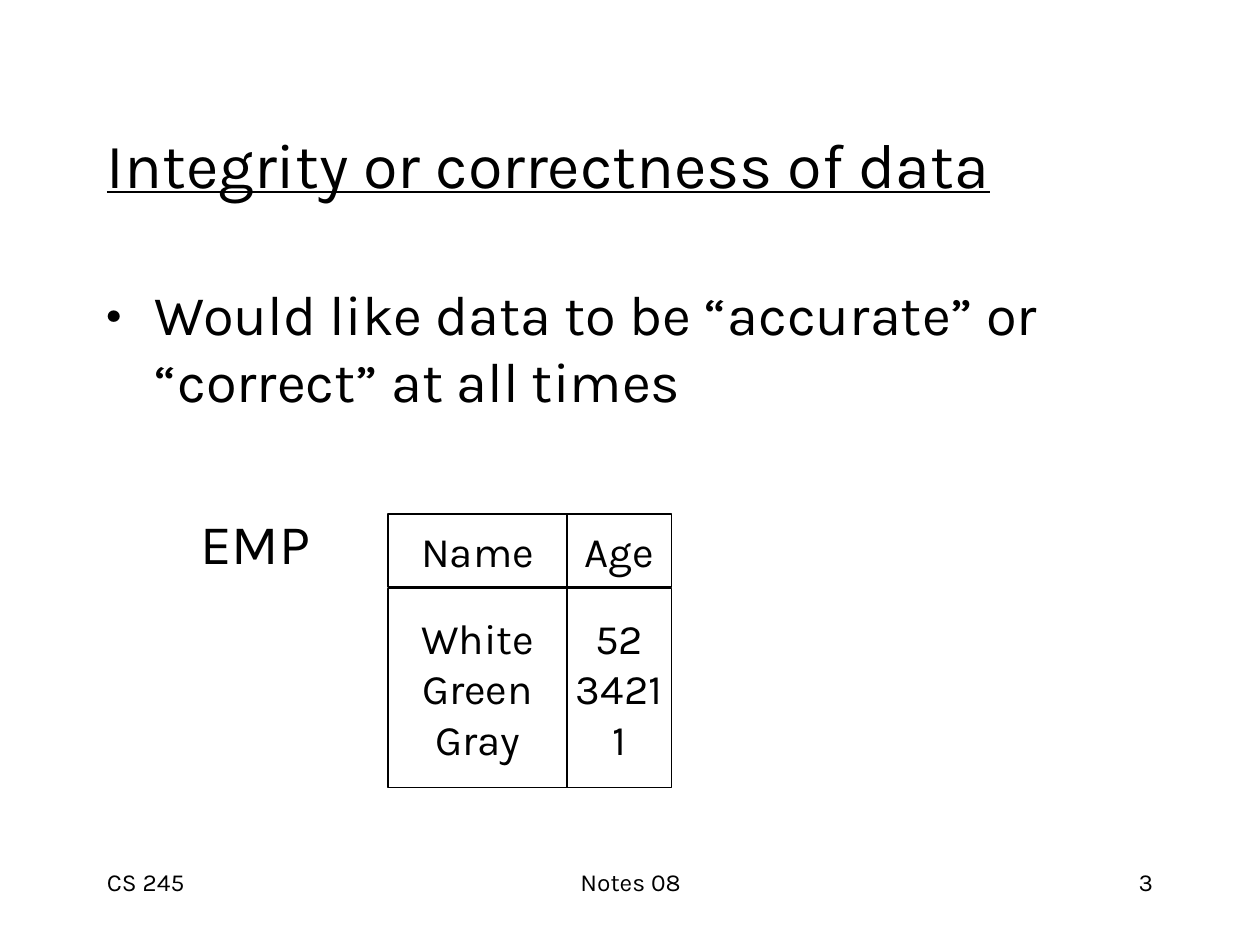
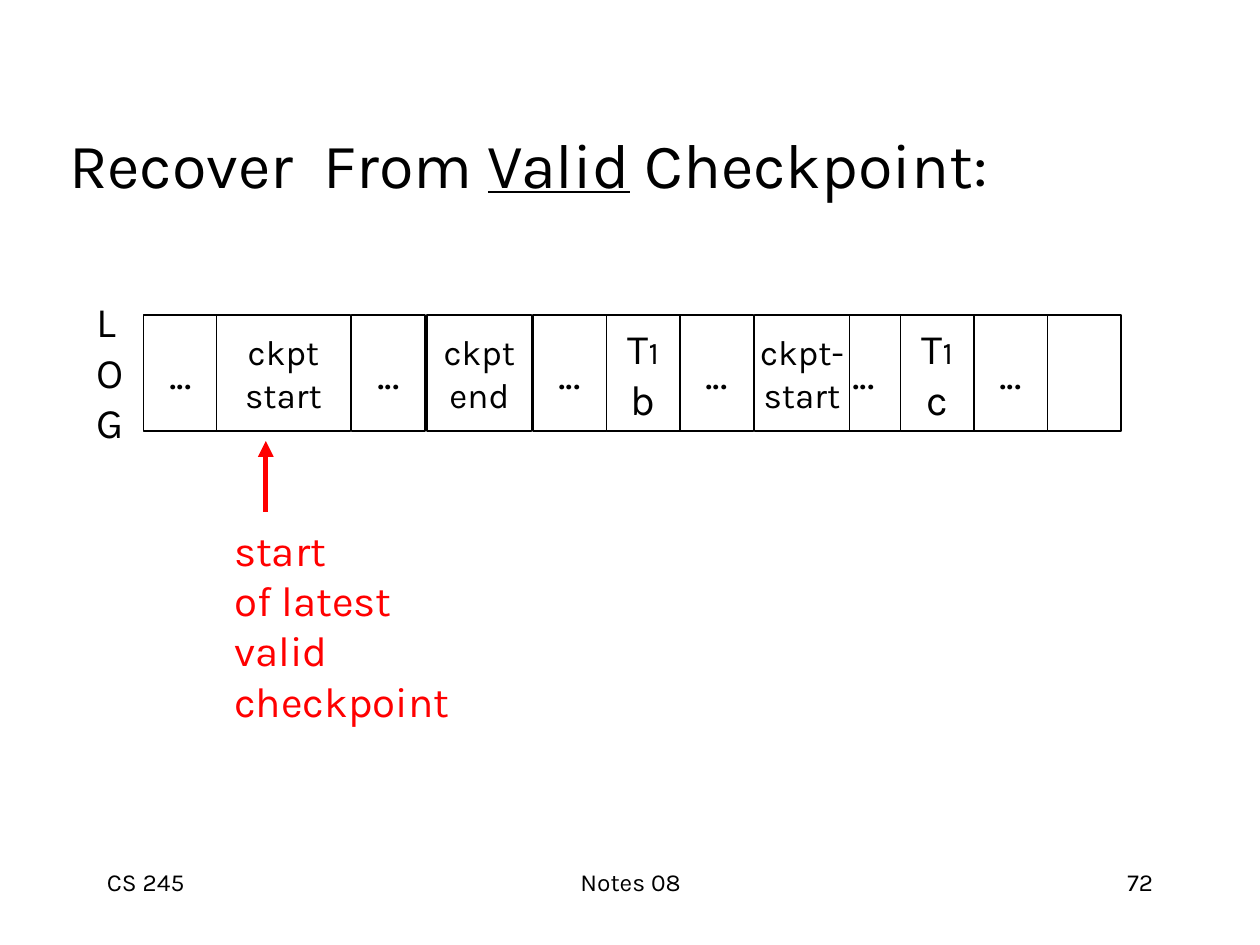
from pptx import Presentation
from pptx.dml.color import RGBColor
from pptx.enum.shapes import MSO_CONNECTOR as Conn, MSO_SHAPE as Shape
from pptx.enum.text import MSO_ANCHOR as Anchor, PP_ALIGN as Align
from pptx.oxml.ns import qn
from pptx.util import Inches, Pt
from lxml.etree import SubElement as Sub

FONT = "Karla"
BLACK, WHITE, RED = "000000", "FFFFFF", "FF0000"
THIN = 0.75

FOOT = [
    (0.75, 2.08, "CS 245", Align.LEFT),
    (3.42, 3.17, "Notes 08", Align.CENTER),
]
FOOT_NUM = (7.17, 2.08, Align.RIGHT)

DATA_TITLE = [("Integrity or correctness of data", True)]
POINT = "Would like data to be “accurate” or “correct” at all times"
EMP = [
    (3.08, 1.42, "Name", ["White", "Green", "Gray"]),
    (4.5, 0.83, "Age", ["52", "3421", "1"]),
]
HEAD_ROW = (4.08, 0.58)
BODY_ROW = (4.67, 1.58)

LOG_TITLE = [("Recover  From ", False), ("Valid", True), (" Checkpoint:", False)]
LOG_ROW = (2.5, 0.92)
STEP = 7 / 12
DOTS = [[("...", 24)]]


def action(kind):
    return [[("T", 24), ("1", 18)], [(kind, 24)]]


def lines(texts, size):
    return [[(text, size)] for text in texts]


EARLY = [(1.14, DOTS), (2.79, DOTS)]
LATE_LEFT = 4.23
LATE = {0: DOTS, 1: action("b"), 2: DOTS, 4: DOTS,
        5: action("c"), 6: DOTS, 7: []}
MARKS = [
    (1.72, 1.06, ["ckpt", "start"]),
    (5.99, 0.75, ["ckpt-", "start"]),
    (3.39, 0.83, ["ckpt", "end"]),
]
HINT = ["start", "of latest", "valid", "checkpoint"]


def tint(code):
    return RGBColor.from_string(code)


def put_run(para, text, size, color=BLACK, under=False):
    run = para.add_run()
    run.text = text
    font = run.font
    font.name, font.size = FONT, Pt(size)
    font.color.rgb = tint(color)
    if under:
        font.underline = True


def fill_text(frame, rows, align=Align.LEFT, color=BLACK):
    for i, row in enumerate(rows):
        para = frame.add_paragraph() if i else frame.paragraphs[0]
        para.alignment = align
        for text, size in row:
            put_run(para, text, size, color)


def add_box(slide, at, rows=(), align=Align.LEFT, color=BLACK, wrap=True):
    frame = slide.shapes.add_textbox(*map(Inches, at)).text_frame
    frame.word_wrap = wrap
    fill_text(frame, rows, align, color)
    return frame


def add_cell(slide, left, width, band, rows):
    top, tall = band
    box = slide.shapes.add_shape(
        Shape.RECTANGLE, *map(Inches, (left, top, width, tall)))
    box.shadow.inherit = False
    box.fill.solid()
    box.fill.fore_color.rgb = tint(WHITE)
    box.line.color.rgb = tint(BLACK)
    box.line.width = Pt(THIN)
    frame = box.text_frame
    frame.word_wrap = False
    frame.vertical_anchor = Anchor.MIDDLE
    fill_text(frame, rows, Align.CENTER)


def add_arrow(slide, x, start, end):
    arrow = slide.shapes.add_connector(
        Conn.STRAIGHT, *map(Inches, (x, start, x, end)))
    arrow.line.color.rgb = tint(RED)
    arrow.line.width = Pt(3)
    Sub(arrow.line._get_or_add_ln(), qn("a:tailEnd"), type="triangle")
    Sub(arrow._element.spPr, qn("a:effectLst"))


def new_slide(deck, title, left, width, num):
    slide = deck.slides.add_slide(deck.slide_layouts[6])
    x, wide, align = FOOT_NUM
    for x, wide, text, align in FOOT + [(x, wide, num, align)]:
        add_box(slide, (x, 6.83, wide, 0.5), [[(text, 14)]], align)
    frame = add_box(slide, (left, 0.67, width, 1.25))
    frame.vertical_anchor = Anchor.MIDDLE
    for text, under in title:
        put_run(frame.paragraphs[0], text, 36, under=under)
    return slide


def data_slide(deck):
    slide = new_slide(deck, DATA_TITLE, 0.75, 8.5, "3")
    para = add_box(slide, (0.75, 2.17, 8.5, 1.2)).paragraphs[0]
    props = para._p.get_or_add_pPr()
    props.set("marL", str(Inches(0.38)))
    props.set("indent", str(Inches(-0.38)))
    Sub(props, qn("a:buFont"), typeface=FONT)
    Sub(props, qn("a:buChar"), char="•")
    put_run(para, POINT, 32)
    add_box(slide, (1.49, 3.99, 1.2, 0.62), [[("EMP", 32)]], wrap=False)
    for left, width, name, vals in EMP:
        add_cell(slide, left, width, HEAD_ROW, lines([name], 24))
        add_cell(slide, left, width, BODY_ROW, lines(vals, 24))


def log_slide(deck):
    slide = new_slide(deck, LOG_TITLE, 0.45, 9.08, "72")
    late = [(LATE_LEFT + i * STEP, rows) for i, rows in LATE.items()]
    for left, rows in EARLY + late:
        add_cell(slide, left, STEP, LOG_ROW, rows)
    for left, width, texts in MARKS:
        add_cell(slide, left, width, LOG_ROW, lines(texts, 20))
    add_box(slide, (0.67, 2.3, 0.46, 1.3), lines("LOG", 24), wrap=False)
    add_box(slide, (1.76, 4.11, 1.91, 1.7), lines(HINT, 24),
            color=RED, wrap=False)
    add_arrow(slide, 2.11, 4.06, 3.5)


def main():
    deck = Presentation()
    deck.slide_width, deck.slide_height = Inches(10), Inches(7.5)
    data_slide(deck)
    log_slide(deck)
    deck.save("out.pptx")


if __name__ == "__main__":
    main()
